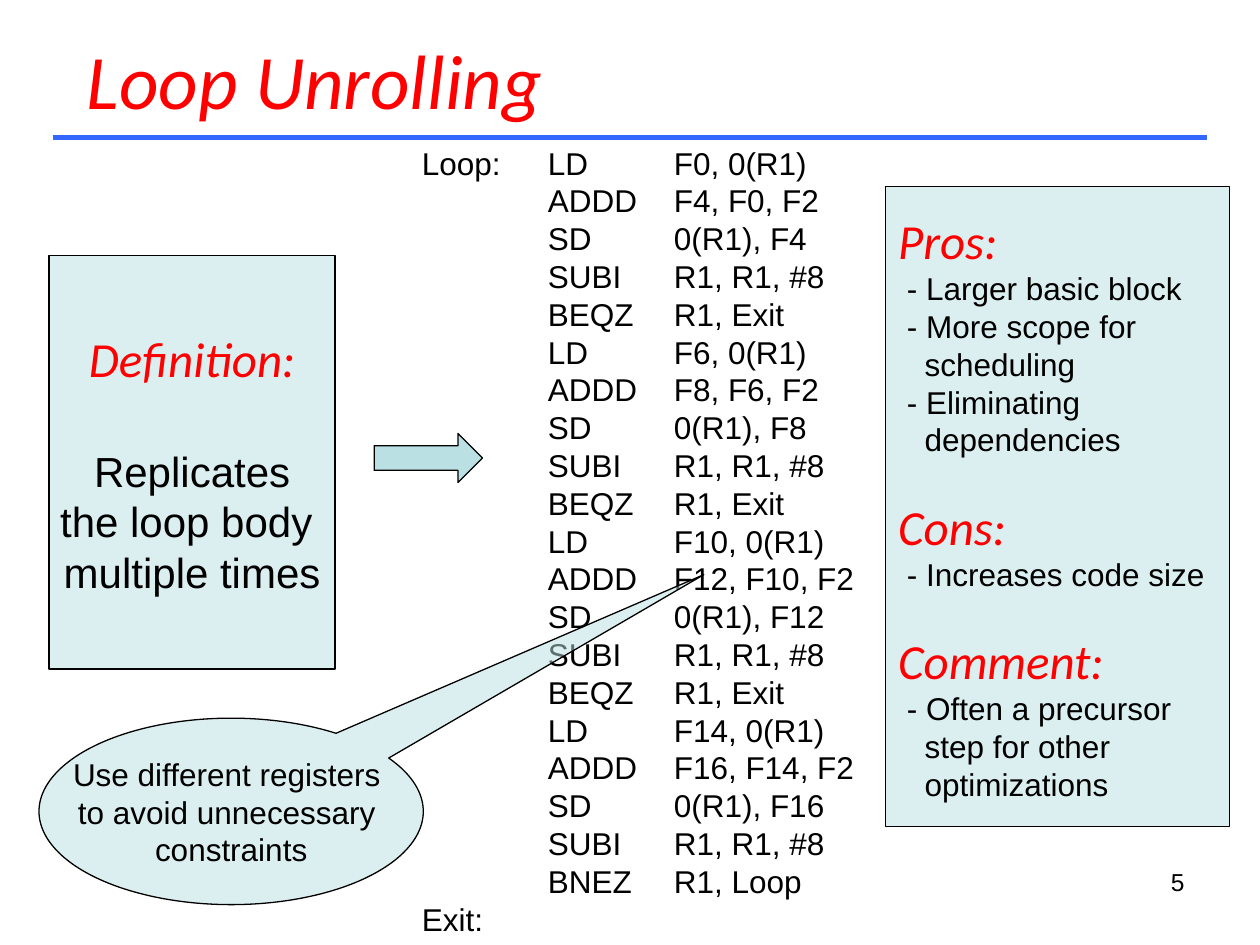
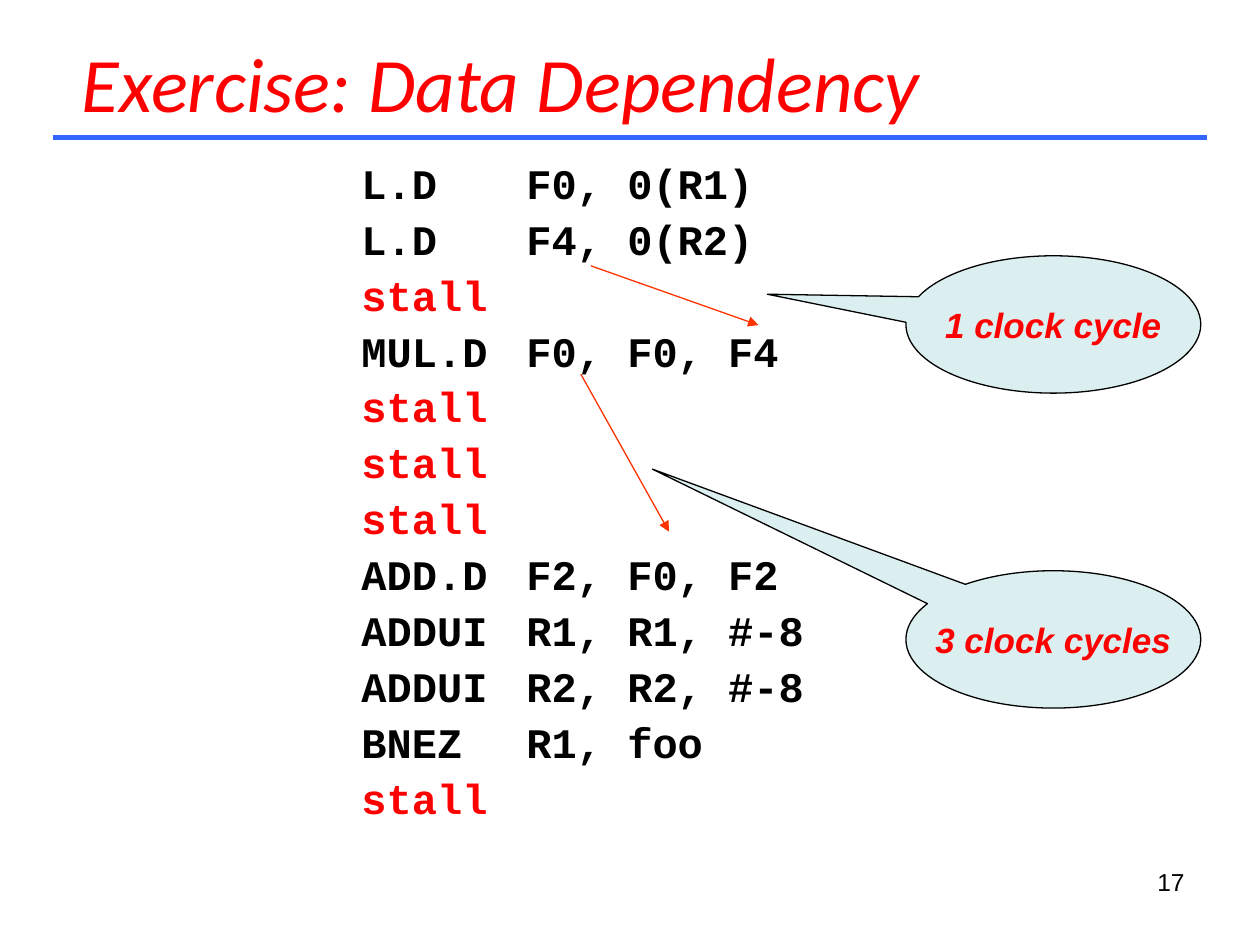
from dataclasses import dataclass, field
from typing import Optional

from lxml import etree
from pptx import Presentation
from pptx import util as u
from pptx.dml.color import RGBColor
from pptx.enum import shapes, text
from pptx.oxml import ns

BLACK = RGBColor(0x00, 0x00, 0x00)
RED = RGBColor(0xFF, 0x00, 0x00)
ORANGE = RGBColor(0xFF, 0x33, 0x00)
RULE_BLUE = RGBColor(0x33, 0x66, 0xFF)
PALE_TEAL = RGBColor(0xBB, 0xE0, 0xE3)

LEFT, CENTER, RIGHT = text.PP_ALIGN.LEFT, text.PP_ALIGN.CENTER, text.PP_ALIGN.RIGHT
TOP, MIDDLE = text.MSO_ANCHOR.TOP, text.MSO_ANCHOR.MIDDLE
CALLOUT = shapes.MSO_SHAPE.OVAL_CALLOUT


def font_format(size: float, color=BLACK, name="Arial", bold=False, italic=False) -> dict:
    return {"size": u.Pt(size), "name": name, "bold": bold, "italic": italic, "color": color}


TITLE = font_format(44, RED, "Calibri", italic=True)
HEADING = font_format(28, RED, "Calibri", italic=True)
BODY = font_format(18)
DEFINITION = font_format(24)
CYCLES = font_format(20, RED, bold=True, italic=True)
CODE = font_format(24, name="Courier New", bold=True)
STALL = {**CODE, "color": RED}
PAGE_NUMBER = font_format(14)


@dataclass(frozen=True)
class Box:
    left: float
    top: float
    width: float
    height: float

    def lengths(self) -> list:
        return [u.Inches(n) for n in (self.left, self.top, self.width, self.height)]


@dataclass(frozen=True)
class Line:
    """One paragraph; a vertical tab in its text breaks the line."""
    words: str
    font: dict
    before: float = 0
    after: float = 0
    hanging: bool = False
    tabs: tuple = ()


@dataclass(frozen=True)
class Panel:
    kind: shapes.MSO_SHAPE
    box: Box
    lines: list = field(default_factory=list)
    align: text.PP_ALIGN = CENTER
    opacity: int = 50
    pointer: Optional[tuple] = None


def write_lines(shape, lines: list, align=LEFT, anchor=TOP, wrap=True) -> None:
    frame = shape.text_frame
    frame.word_wrap = wrap
    frame.vertical_anchor = anchor
    for index, line in enumerate(lines):
        paragraph = frame.paragraphs[0] if index == 0 else frame.add_paragraph()
        paragraph.text = line.words
        spacing = {"alignment": align, "space_before": u.Pt(line.before),
                   "space_after": u.Pt(line.after)}
        for name, value in spacing.items():
            setattr(paragraph, name, value)
        for run in paragraph.runs:
            for name, value in line.font.items():
                if name == "color":
                    run.font.color.rgb = value
                else:
                    setattr(run.font, name, value)
        properties = paragraph._p.get_or_add_pPr()
        if line.hanging:
            properties.set("marL", str(u.Inches(0.21)))
            properties.set("indent", str(u.Inches(-0.14)))
        if line.tabs:
            tab_list = etree.SubElement(properties, ns.qn("a:tabLst"))
            for position in line.tabs:
                etree.SubElement(tab_list, ns.qn("a:tab"), pos=str(u.Inches(position)), algn="l")


def add_text(slide, box: Box, lines: list, align=LEFT, anchor=TOP) -> None:
    write_lines(slide.shapes.add_textbox(*box.lengths()), lines, align, anchor)


def add_panel(slide, panel: Panel) -> None:
    shape = slide.shapes.add_shape(panel.kind, *panel.box.lengths())
    shape.shadow.inherit = False
    shape.fill.solid()
    shape.fill.fore_color.rgb = PALE_TEAL
    if panel.opacity < 100:
        color = shape._element.spPr.find(ns.qn("a:solidFill"))[0]
        etree.SubElement(color, ns.qn("a:alpha"), val=str(panel.opacity * 1000))
    shape.line.color.rgb = BLACK
    shape.line.width = u.Pt(0.75)
    if panel.pointer:
        shape.adjustments[0], shape.adjustments[1] = panel.pointer
    if panel.lines:
        write_lines(shape, panel.lines, panel.align, MIDDLE, wrap=panel.align == LEFT)


def add_line(slide, start: tuple, end: tuple, color: RGBColor, width: float, arrow=False) -> None:
    ends = [u.Inches(n) for n in start + end]
    connector = slide.shapes.add_connector(shapes.MSO_CONNECTOR.STRAIGHT, *ends)
    connector.line.color.rgb = color
    connector.line.width = u.Pt(width)
    if arrow:
        etree.SubElement(connector.line._get_or_add_ln(), ns.qn("a:tailEnd"), type="triangle")
    etree.SubElement(connector._element.spPr, ns.qn("a:effectLst"))


def add_slide(presentation, title: str, title_box: Box, number: int):
    """Blank slide with the shared title, rule and page number."""
    slide = presentation.slides.add_slide(presentation.slide_layouts[6])
    add_text(slide, title_box, [Line(title, TITLE)], anchor=MIDDLE)
    add_line(slide, (0.42, 1.09), (9.58, 1.09), RULE_BLUE, 3)
    add_text(slide, Box(7.17, 6.83, 2.33, 0.52), [Line(str(number), PAGE_NUMBER)], RIGHT)
    return slide


def unrolled_loop() -> list:
    """Four copies of the loop body, each with its own pair of registers."""
    rows = []
    for loaded in (0, 6, 10, 14):
        total = loaded + (4 if loaded == 0 else 2)
        rows += [f"LD\tF{loaded}, 0(R1)", f"ADDD\tF{total}, F{loaded}, F2",
                 f"SD\t0(R1), F{total}", "SUBI\tR1, R1, #8", "BEQZ\tR1, Exit"]
    rows[-1] = "BNEZ\tR1, Loop"
    labels = ["Loop:"] + [""] * (len(rows) - 1)
    code = [f"{label}\t{row}" for label, row in zip(labels, rows)] + ["Exit:"]
    return [Line(row, BODY, tabs=(1, 2)) for row in code]


def add_loop_unrolling(presentation) -> None:
    slide = add_slide(presentation, "Loop Unrolling", Box(0.59, 0, 9, 1.25), 5)
    add_text(slide, Box(3.25, 1.09, 5, 6.4), unrolled_loop())

    definition = [
        Line("Definition:", HEADING),
        Line("Replicates", DEFINITION, before=33.5),
        Line("the loop body ", DEFINITION),
        Line("multiple times", DEFINITION),
    ]
    assessment = {
        "Pros:": ["- Larger basic block", "- More scope for\vscheduling",
                  "- Eliminating\vdependencies"],
        "Cons:": ["- Increases code size"],
        "Comment:": ["- Often a precursor\vstep for other\voptimizations"],
    }
    verdict = []
    for heading, points in assessment.items():
        verdict.append(Line(heading, HEADING, before=21.6 if verdict else 0))
        verdict += [Line(point, BODY, hanging=True) for point in points]
    advice = ["Use different registers ", "to avoid unnecessary ", "constraints"]

    rectangle = shapes.MSO_SHAPE.RECTANGLE
    for panel in (
        Panel(rectangle, Box(0.39, 2.03, 2.27, 3.28), definition),
        Panel(rectangle, Box(7.03, 1.48, 2.73, 5.08), verdict, LEFT),
        Panel(shapes.MSO_SHAPE.RIGHT_ARROW, Box(2.97, 3.44, 0.86, 0.39), opacity=100),
        Panel(CALLOUT, Box(0.31, 5.7, 3.05, 1.48), [Line(row, BODY) for row in advice],
              pointer=(1.23, -1.27)),
    ):
        add_panel(slide, panel)


def add_data_dependency(presentation) -> None:
    slide = add_slide(presentation, "Exercise: Data Dependency", Box(0.55, 0.23, 9.14, 0.84), 17)
    code = ["L.D\tF0, 0(R1)", "L.D\tF4, 0(R2)", "stall", "MUL.D\tF0, F0, F4",
            "stall", "stall", "stall", "ADD.D\tF2, F0, F2", "ADDUI\tR1, R1, #-8",
            "ADDUI\tR2, R2, #-8", "BNEZ\tR1, foo", "stall"]
    lines = [Line(row, STALL if row == "stall" else CODE, after=3.15, tabs=(1.31,))
             for row in code]
    add_text(slide, Box(2.77, 1.2, 4.31, 5.43), lines)

    for start, end in (((4.69, 2.11), (6.02, 2.58)), ((4.61, 2.97), (5.31, 4.22))):
        add_line(slide, start, end, ORANGE, 0.75, arrow=True)
    for words, top, pointer in (("3 clock cycles", 4.53, (-1.36, -1.24)),
                                ("1 clock cycle", 2.03, (-0.97, -0.22))):
        add_panel(slide, Panel(CALLOUT, Box(7.19, top, 2.34, 1.09), [Line(words, CYCLES)],
                               pointer=pointer))


def main() -> None:
    presentation = Presentation()
    presentation.slide_width = u.Inches(10)
    presentation.slide_height = u.Inches(7.5)
    add_loop_unrolling(presentation)
    add_data_dependency(presentation)
    presentation.save("out.pptx")


if __name__ == "__main__":
    main()
